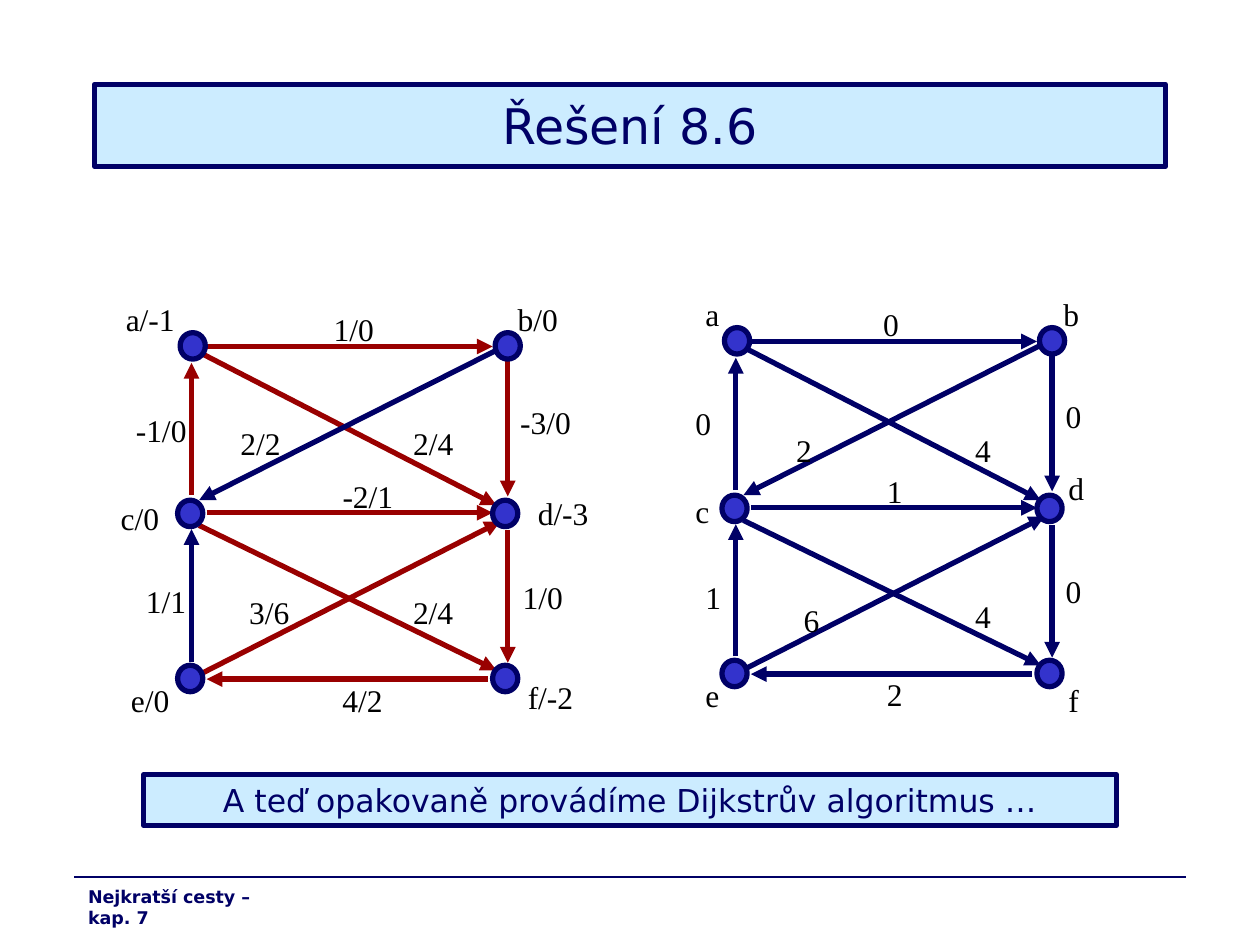
from typing import Any, NamedTuple

from lxml import etree
from pptx import Presentation
from pptx import util as u
from pptx.dml.color import RGBColor
from pptx.enum import shapes, text
from pptx.oxml.ns import qn

PX = u.Inches(1) // 100  # one px is a hundredth of an inch

NAVY = RGBColor(0x00, 0x00, 0x66)
RED = RGBColor(0x99, 0x00, 0x00)
BLUE = RGBColor(0x33, 0x33, 0xCC)
PALE = RGBColor(0xCC, 0xEC, 0xFF)
BLACK = RGBColor(0x00, 0x00, 0x00)
SANS = "DejaVu Sans"
SERIF = "Times New Roman"


class Edge(NamedTuple):
    x1: int
    y1: int
    x2: int
    y2: int
    color: RGBColor = RED


class Label(NamedTuple):
    words: str
    left: int
    top: int
    width: int = 32


class Shift(NamedTuple):
    dx: int = 0
    dy: int = 0


# Both graphs share one layout; the second is moved to the right
RIGHT = Shift(432, -4)
NODE_WIDTH, NODE_HEIGHT = 20, 21
NODES = [(143, 264), (393, 264), (141, 397), (391, 397), (141, 528), (391, 528)]
EDGES = [
    Edge(161, 534, 397, 414),
    Edge(164, 407, 391, 407),
    Edge(387, 539, 164, 539),
    Edge(152, 525, 152, 420, NAVY),
    Edge(164, 275, 391, 275),
    Edge(155, 278, 394, 401),
    Edge(403, 282, 403, 394),
    Edge(158, 417, 394, 532),
    Edge(394, 278, 158, 397, NAVY),
    Edge(152, 393, 152, 288),
    Edge(403, 421, 403, 526),
]
LEFT_LABELS = [
    Label("1/0", 255, 241, 68), Label("1/1", 106, 457, 53),
    Label("1/0", 405, 454, 61), Label("2/2", 181, 332, 65),
    Label("-3/0", 403, 315, 73), Label("2/4", 318, 332, 62),
    Label("-2/1", 262, 374, 68), Label("3/6", 188, 466, 56),
    Label("-1/0", 98, 321, 64), Label("2/4", 318, 466, 74),
    Label("4/2", 262, 536, 60), Label("a/-1", 90, 233, 67),
    Label("f/-2", 409, 533, 71), Label("e/0", 94, 536, 55),
    Label("d/-3", 417, 387, 63), Label("c/0", 86, 391, 55),
    Label("b/0", 401, 233, 55),
]
RIGHT_LABELS = [
    Label("0", 691, 237), Label("1", 550, 454), Label("0", 836, 449),
    Label("2", 622, 337), Label("0", 836, 310), Label("4", 764, 337),
    Label("1", 694, 370), Label("6", 628, 472), Label("0", 542, 316),
    Label("4", 764, 469), Label("2", 694, 531), Label("a", 550, 229),
    Label("f", 838, 536, 28), Label("e", 550, 532), Label("d", 838, 367),
    Label("c", 542, 386), Label("b", 834, 229),
]


def px(*lengths: int) -> list[int]:
    return [length * PX for length in lengths]


def write(box: Any, words: str, size: int, font: str, color: RGBColor,
          before: float = 0, bold: bool = False) -> None:
    frame = box.text_frame
    frame.text = words
    para = frame.paragraphs[0]
    para.space_before = u.Pt(before)
    span = para.runs[0].font
    span.size, span.name, span.bold = u.Pt(size), font, bold
    span.color.rgb = color


def draw_line(parent: Any, edge: Edge, points: float, arrow: bool = True) -> None:
    line = parent.add_connector(
        shapes.MSO_CONNECTOR.STRAIGHT, *px(edge.x1, edge.y1, edge.x2, edge.y2))
    line.line.color.rgb = edge.color
    line.line.width = u.Pt(points)
    if arrow:
        etree.SubElement(line.line._get_or_add_ln(), qn("a:tailEnd"), type="triangle")
    etree.SubElement(line._element.spPr, qn("a:effectLst"))


def draw_shape(parent: Any, kind: Any, fill: RGBColor, left: int, top: int,
               width: int, height: int) -> Any:
    shape = parent.add_shape(kind, *px(left, top, width, height))
    shape.shadow.inherit = False
    shape.fill.solid()
    shape.fill.fore_color.rgb = fill
    shape.line.color.rgb = NAVY
    shape.line.width = u.Pt(3)
    return shape


def draw_banner(parent: Any, words: str, size: int, left: int, top: int,
                width: int, height: int) -> None:
    banner = draw_shape(parent, shapes.MSO_SHAPE.RECTANGLE, PALE, left, top, width, height)
    write(banner, words, size, SANS, NAVY)
    banner.text_frame.vertical_anchor = text.MSO_ANCHOR.MIDDLE
    banner.text_frame.paragraphs[0].alignment = text.PP_ALIGN.CENTER


def draw_label(parent: Any, label: Label, wrap: bool) -> None:
    box = parent.add_textbox(*px(label.left, label.top, label.width, 40))
    box.text_frame.word_wrap = wrap
    box.text_frame.auto_size = text.MSO_AUTO_SIZE.SHAPE_TO_FIT_TEXT
    write(box, label.words, 18, SERIF, BLACK, before=4.5)


def draw_graph(parent: Any, labels: list[Label], shift: Shift, recolor: bool,
               wrap: bool) -> None:
    dx, dy = shift
    for edge in EDGES:
        color = NAVY if recolor else edge.color
        draw_line(parent, Edge(edge.x1 + dx, edge.y1 + dy,
                               edge.x2 + dx, edge.y2 + dy, color), 3)
    for left, top in NODES:
        draw_shape(parent, shapes.MSO_SHAPE.OVAL, BLUE, left + dx, top + dy,
                   NODE_WIDTH, NODE_HEIGHT)
    for label in labels:
        draw_label(parent, label, wrap)


def main() -> None:
    deck = Presentation()
    deck.slide_width, deck.slide_height = px(1000, 750)
    page = deck.slides.add_slide(deck.slide_layouts[6])

    # Title
    draw_banner(page.shapes, "Řešení 8.6", 28, 75, 67, 850, 65)

    # Graphs
    draw_graph(page.shapes, LEFT_LABELS, Shift(), recolor=False, wrap=True)
    group = page.shapes.add_group_shape()
    draw_graph(group.shapes, RIGHT_LABELS, RIGHT, recolor=True, wrap=False)

    # Conclusion
    draw_banner(page.shapes, "A teď opakovaně provádíme Dijkstrův algoritmus …", 18,
                114, 615, 772, 40)

    # Footer
    draw_line(page.shapes, Edge(59, 696, 941, 696, NAVY), 0.75, arrow=False)
    footer = page.shapes.add_textbox(*px(60, 698, 179, 27))
    footer.text_frame.word_wrap = True
    write(footer, "Nejkratší cesty – kap. 7", 10, SANS, NAVY, before=2.5, bold=True)

    deck.save("out.pptx")


if __name__ == "__main__":
    main()
